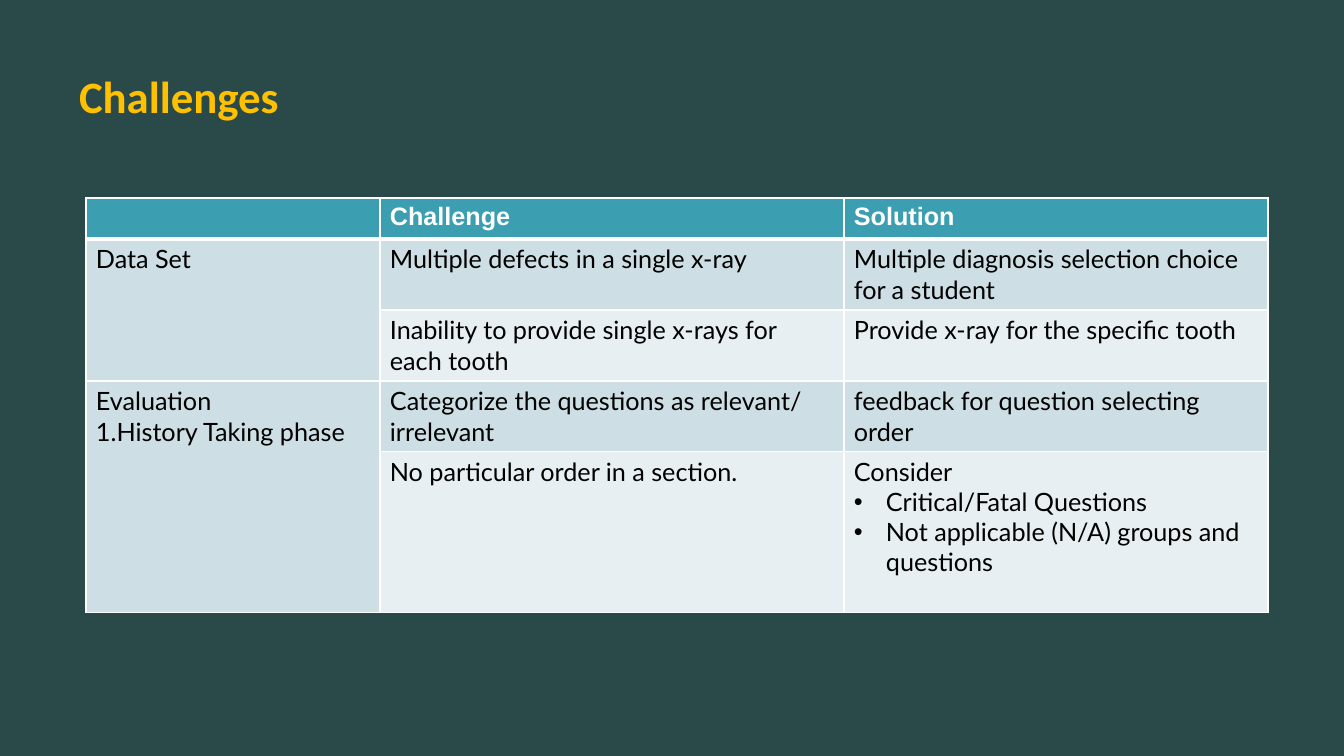
from lxml.etree import SubElement
from pptx import Presentation
from pptx.dml.color import RGBColor
from pptx.enum.text import MSO_ANCHOR, PP_ALIGN
from pptx.oxml.ns import qn
from pptx.util import Pt

PX = 914400 / 100.8
BULLET = "• "


def px(n):
    return round(n * PX)


def color(code):
    return RGBColor.from_string(code)


def write(par, text, font="Lato", size=18, ink="000000", bold=False):
    run = par.add_run()
    run.text = text
    run.font.name = font
    run.font.size = Pt(size)
    run.font.bold = bold
    run.font.color.rgb = color(ink)
    par.alignment = PP_ALIGN.LEFT


def bullet(par):
    props = par._p.get_or_add_pPr()
    props.set("marL", str(px(32)))
    props.set("indent", str(-px(32)))
    SubElement(props, qn("a:buFont")).set("typeface", "Arial")
    SubElement(props, qn("a:buChar")).set("char", BULLET.strip())


def border(cell, top, bottom):
    props = cell._tc.get_or_add_tcPr()
    for side, width in zip("LRTB", (1, 1, top, bottom)):
        line = SubElement(props, qn("a:ln" + side), w=str(Pt(width)))
        fill = SubElement(line, qn("a:solidFill"))
        SubElement(fill, qn("a:srgbClr")).set("val", "FFFFFF")


class Deck:
    back = "2A4A4A"
    gold = "FFC000"
    head = "3B9EB1"
    bands = ("E7EFF2", "CDDEE4")

    def __init__(self):
        self.prs = Presentation()
        self.prs.slide_width, self.prs.slide_height = px(1344), px(756)
        self.slide = self.prs.slides.add_slide(self.prs.slide_layouts[5])
        fill = self.slide.background.fill
        fill.solid()
        fill.fore_color.rgb = color(self.back)

    def title(self, text, left, top, width, height):
        box = self.slide.shapes.title
        box.left, box.top = px(left), px(top)
        box.width, box.height = px(width), px(height)
        frame = box.text_frame
        frame.margin_left = frame.margin_right = 0
        frame.margin_top = frame.margin_bottom = 0
        frame.vertical_anchor = MSO_ANCHOR.TOP
        frame.word_wrap = True
        write(frame.paragraphs[0], text, font="Calibri", size=32,
              ink=self.gold, bold=True)

    def cell(self, cell, lines, row):
        cell.margin_left = cell.margin_right = px(10)
        cell.margin_top = cell.margin_bottom = px(5)
        border(cell, 3 if row == 1 else 1, 1 if row else 3)
        cell.fill.solid()
        cell.fill.fore_color.rgb = color(self.bands[row % 2] if row else self.head)
        look = {} if row else dict(font="Arial", ink="FFFFFF", bold=True)
        frame = cell.text_frame
        for i, line in enumerate(lines):
            par = frame.add_paragraph() if i else frame.paragraphs[0]
            if line.startswith(BULLET):
                bullet(par)
            write(par, line.removeprefix(BULLET), **look)

    def table(self, rows, left, top, widths, heights, merges):
        grid = self.slide.shapes.add_table(
            len(rows), len(widths), px(left), px(top),
            px(sum(widths)), px(sum(heights))).table
        for col, width in zip(grid.columns, widths):
            col.width = px(width)
        for row, height in zip(grid.rows, heights):
            row.height = px(height)
        for r, row in enumerate(rows):
            for c, lines in enumerate(row):
                self.cell(grid.cell(r, c), lines, r)
        for first, last in merges:
            grid.cell(first, 0).merge(grid.cell(last, 0))


# Each cell is a list of paragraphs
ROWS = [
    [[], ["Challenge"], ["Solution"]],
    [["Data Set"], ["Multiple defects in a single x-ray"],
     ["Multiple diagnosis selection choice for a student"]],
    [[], ["Inability to provide single x-rays for each tooth"],
     ["Provide x-ray for the specific tooth"]],
    [["Evaluation", "1.History Taking phase"],
     ["Categorize the questions as relevant/ irrelevant"],
     ["feedback for question selecting order"]],
    [[], ["No particular order in a section."],
     ["Consider", "• Critical/Fatal Questions",
      "• Not applicable (N/A) groups and questions"]],
]


def main():
    deck = Deck()
    # Heading
    deck.title("Challenges", 79, 69, 1182, 107)
    # Challenges and solutions, grouped by the first column
    deck.table(ROWS, 86, 198, (294, 464, 424), (41, 71, 71, 70, 161),
               ((1, 2), (3, 4)))
    deck.prs.save("out.pptx")


if __name__ == "__main__":
    main()
